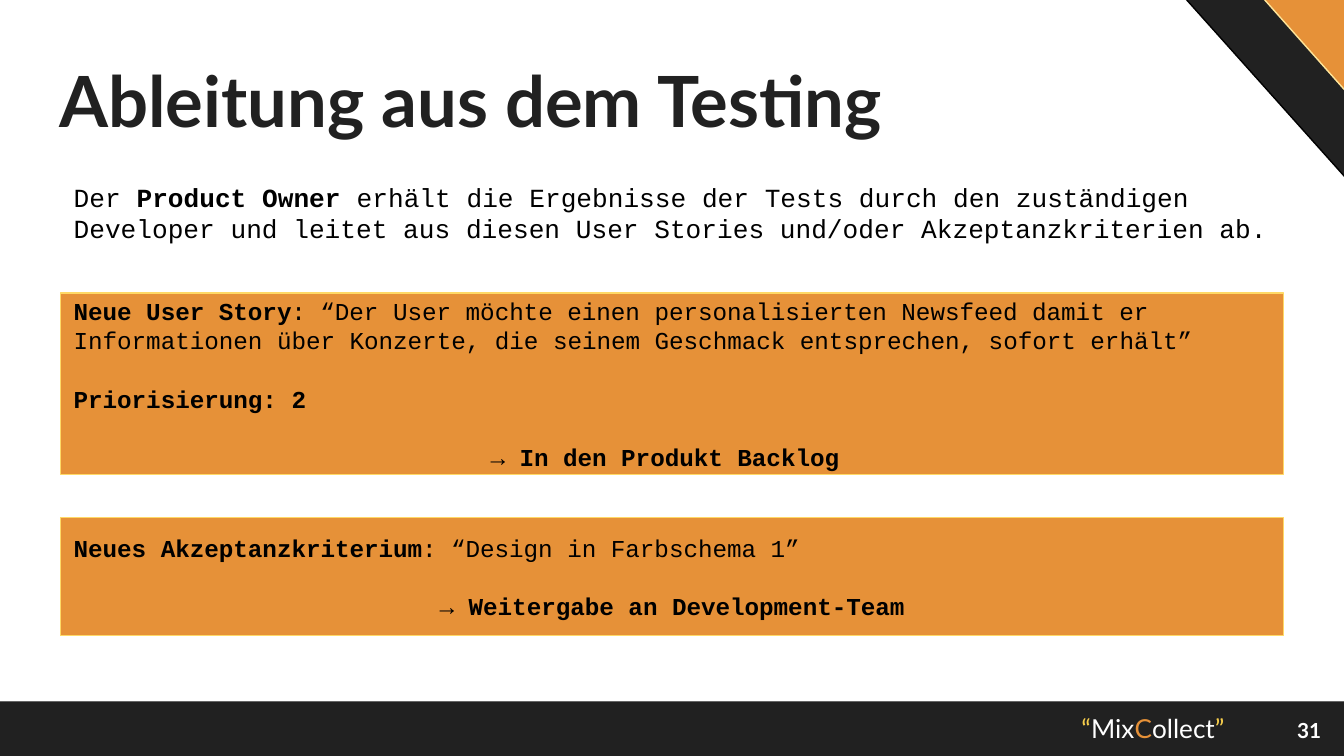
from dataclasses import dataclass

from pptx import Presentation
from pptx.dml.color import RGBColor
from pptx.enum.shapes import MSO_SHAPE
from pptx.enum.text import MSO_ANCHOR, MSO_AUTO_SIZE, PP_ALIGN
from pptx.util import Inches, Pt

BLACK = RGBColor(0, 0, 0)
WHITE = RGBColor(0xFF, 0xFF, 0xFF)
CHARCOAL = RGBColor(0x21, 0x21, 0x21)
GRAY = RGBColor(0x66, 0x66, 0x66)
ORANGE = RGBColor(0xE6, 0x91, 0x38)
YELLOW = RGBColor(0xF6, 0xCD, 0x4C)
GOLD = RGBColor(0xFF, 0xD9, 0x66)
CREAM = RGBColor(0xFF, 0xE5, 0x99)

RECTANGLE = MSO_SHAPE.RECTANGLE
TOP, MIDDLE = MSO_ANCHOR.TOP, MSO_ANCHOR.MIDDLE
LEFT, CENTER, RIGHT = PP_ALIGN.LEFT, PP_ALIGN.CENTER, PP_ALIGN.RIGHT
NO_AUTOFIT = MSO_AUTO_SIZE.NONE

HEADING_FONT, BODY_FONT = "Lato", "Courier New"
MARGIN, CONTENT_WIDTH = 0.45, 9.1
PARAGRAPH_GAP = Pt(15.5)


@dataclass
class Box:
    left: float
    top: float
    width: float
    height: float


@dataclass
class Panel:
    box: Box
    fill: RGBColor
    line: RGBColor
    rotation: float = 0


@dataclass
class Span:
    text: str
    bold: bool = False
    color: RGBColor = BLACK


@dataclass
class Line:
    spans: list[Span]
    align: PP_ALIGN = LEFT
    spacing: float = 1.0


@dataclass
class Card:
    top: float
    height: float
    lines: list[Line]


def place(shape, box: Box) -> None:
    shape.left, shape.top = Inches(box.left), Inches(box.top)
    shape.width, shape.height = Inches(box.width), Inches(box.height)


def add_panel(slide, panel: Panel):
    shape = slide.shapes.add_shape(RECTANGLE, 0, 0, 0, 0)
    place(shape, panel.box)
    shape.shadow.inherit = False
    shape.fill.solid()
    shape.fill.fore_color.rgb = panel.fill
    shape.line.color.rgb = panel.line
    shape.line.width = Pt(0.75)
    shape.rotation = panel.rotation
    return shape


def write(shape, lines: list[Line], font: str, size: float, anchor: MSO_ANCHOR) -> None:
    frame = shape.text_frame
    frame.word_wrap = True
    frame.auto_size = NO_AUTOFIT
    frame.vertical_anchor = anchor
    frame.margin_left = frame.margin_right = Inches(0.1)
    frame.margin_top = frame.margin_bottom = Inches(0.1)
    for index, line in enumerate(lines):
        paragraph = frame.add_paragraph() if index else frame.paragraphs[0]
        paragraph.alignment = line.align
        paragraph.line_spacing = line.spacing
        if index:
            paragraph.space_before = PARAGRAPH_GAP
        paragraph.font.name = font
        paragraph.font.size = Pt(size)
        for span in line.spans:
            run = paragraph.add_run()
            run.text = span.text
            run.font.bold = span.bold
            run.font.color.rgb = span.color


def add_text(slide, box: Box, line: Line, font: str, size: float, anchor: MSO_ANCHOR) -> None:
    textbox = slide.shapes.add_textbox(0, 0, 0, 0)
    place(textbox, box)
    write(textbox, [line], font, size, anchor)


DECORATION = [
    Panel(Box(-0.06, 5.22, 10.1, 0.43), CHARCOAL, GRAY),
    Panel(Box(7.16, 0.06, 4.43, 0.44), CHARCOAL, BLACK, 48.2),
    Panel(Box(8.5, -0.01, 3.07, 0.57), ORANGE, CREAM, 48.4),
]

PROJECT_NAME = Line(
    [
        Span("“", color=YELLOW),
        Span("Mix", color=WHITE),
        Span("C", color=ORANGE),
        Span("ollect", color=WHITE),
        Span("”", color=YELLOW),
    ],
    RIGHT,
)

INTRO = Line([
    Span("Der "),
    Span("Product Owner", bold=True),
    Span(
        " erhält die Ergebnisse der Tests durch den zuständigen Developer und leitet "
        "aus diesen User Stories und/oder Akzeptanzkriterien ab."
    ),
])

CARDS = [
    Card(2.18, 1.35, [
        Line([
            Span("Neue User Story", bold=True),
            Span(
                ": “Der User möchte einen personalisierten Newsfeed damit er Informationen "
                "über Konzerte, die seinem Geschmack entsprechen, sofort erhält”"
            ),
        ]),
        Line([Span("Priorisierung: 2", bold=True)]),
        Line([Span("→ In den Produkt Backlog ", bold=True)], CENTER),
    ]),
    Card(3.85, 0.88, [
        Line([
            Span("Neues Akzeptanzkriterium", bold=True),
            Span(": “Design in Farbschema 1”"),
        ]),
        Line([Span("→ Weitergabe an Development-Team", bold=True)], CENTER),
    ]),
]


def main() -> None:
    presentation = Presentation()
    presentation.slide_width = Inches(10)
    presentation.slide_height = Inches(10) * 9 // 16
    slide = presentation.slides.add_slide(presentation.slide_layouts[5])

    for panel in DECORATION:
        add_panel(slide, panel)
    add_text(slide, Box(7.74, 5.25, 1.47, 0.34), PROJECT_NAME, HEADING_FONT, 14, MIDDLE)

    title = slide.shapes.title
    place(title, Box(0.34, 0.32, 9.32, 0.88))
    heading = Line([Span("Ableitung aus dem Testing", True, CHARCOAL)])
    write(title, [heading], HEADING_FONT, 37.8, TOP)

    page_number = Line([Span("31", True, WHITE)], RIGHT, 0.8)
    add_text(slide, Box(9.33, 5.27, 0.6, 0.36), page_number, HEADING_FONT, 11.1, MIDDLE)

    for card in CARDS:
        box = Box(MARGIN, card.top, CONTENT_WIDTH, card.height)
        shape = add_panel(slide, Panel(box, ORANGE, GOLD))
        write(shape, card.lines, BODY_FONT, 13, MIDDLE)

    add_text(slide, Box(MARGIN, 1.25, CONTENT_WIDTH, 0.67), INTRO, BODY_FONT, 14, TOP)
    presentation.save("out.pptx")


if __name__ == "__main__":
    main()
